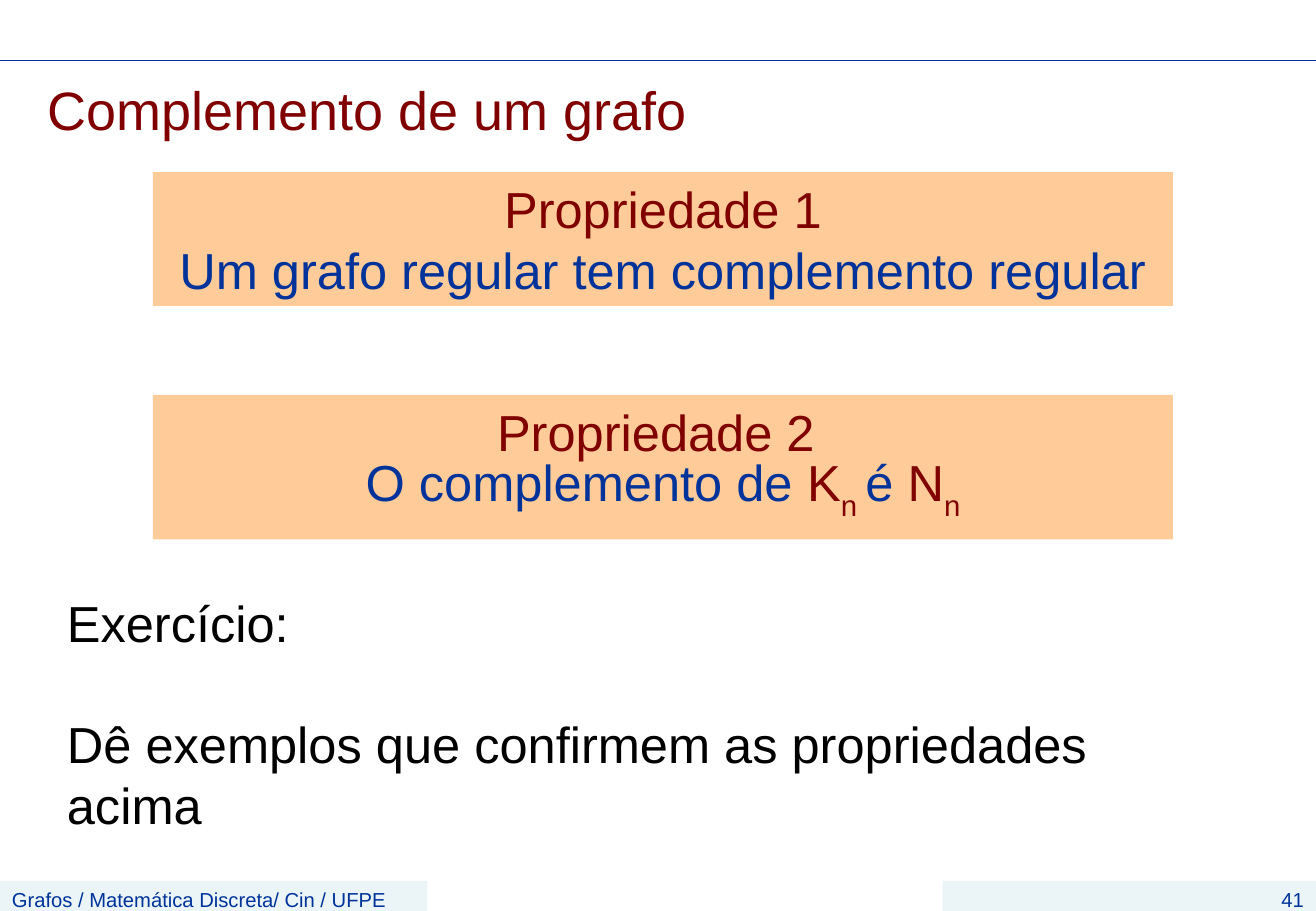
import pptx
import pptx.util
import pptx.dml.color
import pptx.enum.shapes
import pptx.enum.text
import pptx.oxml.ns
import lxml.etree

Cm, Pt = pptx.util.Cm, pptx.util.Pt
ALIGN = pptx.enum.text.PP_ALIGN
HEX = {"navy": "003399", "wine": "800000", "peach": "FFCC99", "ice": "D9ECF3", "black": "000000"}


class Deck:
    """Draws styled elements on the current slide."""

    def __init__(self, wide, high):
        self.show = pptx.Presentation()
        self.show.slide_width, self.show.slide_height = Cm(wide), Cm(high)
        self.slide = self.show.slides.add_slide(self.show.slide_layouts[5])
        self.font = "Arial"

    def color(self, name):
        return pptx.dml.color.RGBColor.from_string(HEX[name])

    def label(self, shape, lines, size, align=ALIGN.LEFT, gap=0, side=0.25):
        frame = shape.text_frame
        frame.word_wrap = True
        frame.auto_size = pptx.enum.text.MSO_AUTO_SIZE.NONE
        frame.vertical_anchor = pptx.enum.text.MSO_ANCHOR.TOP
        frame.margin_left = frame.margin_right = Cm(side)
        frame.margin_top = frame.margin_bottom = Cm(0.13)
        for index, line in enumerate(lines):
            para = frame.add_paragraph() if index else frame.paragraphs[0]
            para.alignment = align
            para.line_spacing = Pt(1.2 * size)
            para.space_before = Pt(gap if index else 0)
            para.font.name, para.font.size = self.font, Pt(size)
            for text, tone, *low in line:
                run = para.add_run()
                run.text = text
                run.font.color.rgb = self.color(tone)
                if low:
                    run.font._element.set("baseline", "-30000")

    def title(self, box, text):
        shape = self.slide.shapes.title
        shape.left, shape.top, shape.width, shape.height = map(Cm, box)
        self.label(shape, [[(text, "wine")]], 32, side=0)

    def text(self, box, lines, size, gap):
        shape = self.slide.shapes.add_textbox(*map(Cm, box))
        self.label(shape, lines, size, gap=gap)

    def panel(self, box, fill, lines, size, align, alpha=100):
        kind = pptx.enum.shapes.MSO_SHAPE.RECTANGLE
        shape = self.slide.shapes.add_shape(kind, *map(Cm, box))
        shape.shadow.inherit = False
        shape.fill.solid()
        shape.fill.fore_color.rgb = self.color(fill)
        shape.line.fill.background()
        if alpha < 100:
            qn = pptx.oxml.ns.qn
            tint = shape._element.spPr.find(qn("a:solidFill"))[0]
            lxml.etree.SubElement(tint, qn("a:alpha")).set("val", str(alpha * 1000))
        self.label(shape, lines, size, align)

    def rule(self, left, right, top):
        kind = pptx.enum.shapes.MSO_CONNECTOR.STRAIGHT
        line = self.slide.shapes.add_connector(kind, Cm(left), Cm(top), Cm(right), Cm(top))
        line.line.color.rgb = self.color("navy")
        line.line.width = Pt(0.75)
        lxml.etree.SubElement(line._element.spPr, pptx.oxml.ns.qn("a:effectLst"))


def main():
    deck = Deck(27.53, 19.05)
    deck.title((1, 1.47, 26, 1.9), "Complemento de um grafo")
    deck.rule(0, 27.53, 1.27)

    first = [
        [("Propriedade 1", "wine")],
        [("Um grafo regular tem complemento regular", "navy")],
    ]
    second = [
        [("Propriedade 2 ", "wine")],
        [("O complemento de ", "navy"), ("K", "wine"), ("n ", "wine", True),
         ("é ", "navy"), ("N", "wine"), ("n", "wine", True)],
    ]
    for top, high, lines in ((3.6, 2.8, first), (8.26, 3.02, second)):
        deck.panel((3.2, top, 21.34, high), "peach", lines, 30, ALIGN.CENTER)

    task = [
        [("Exercício:", "black")],
        [("Dê exemplos que confirmem as propriedades acima", "black")],
    ]
    deck.text((1.15, 12.24, 23.16, 5.33), task, 30, 36)

    feet = (
        (0, 8.94, "Grafos / Matemática Discreta/ Cin / UFPE", ALIGN.LEFT),
        (19.72, 7.81, "41", ALIGN.RIGHT),
    )
    for left, wide, text, align in feet:
        deck.panel((left, 18.42, wide, 0.63), "ice", [[(text, "navy")]], 12, align, 50)
    deck.show.save("out.pptx")


if __name__ == "__main__":
    main()
